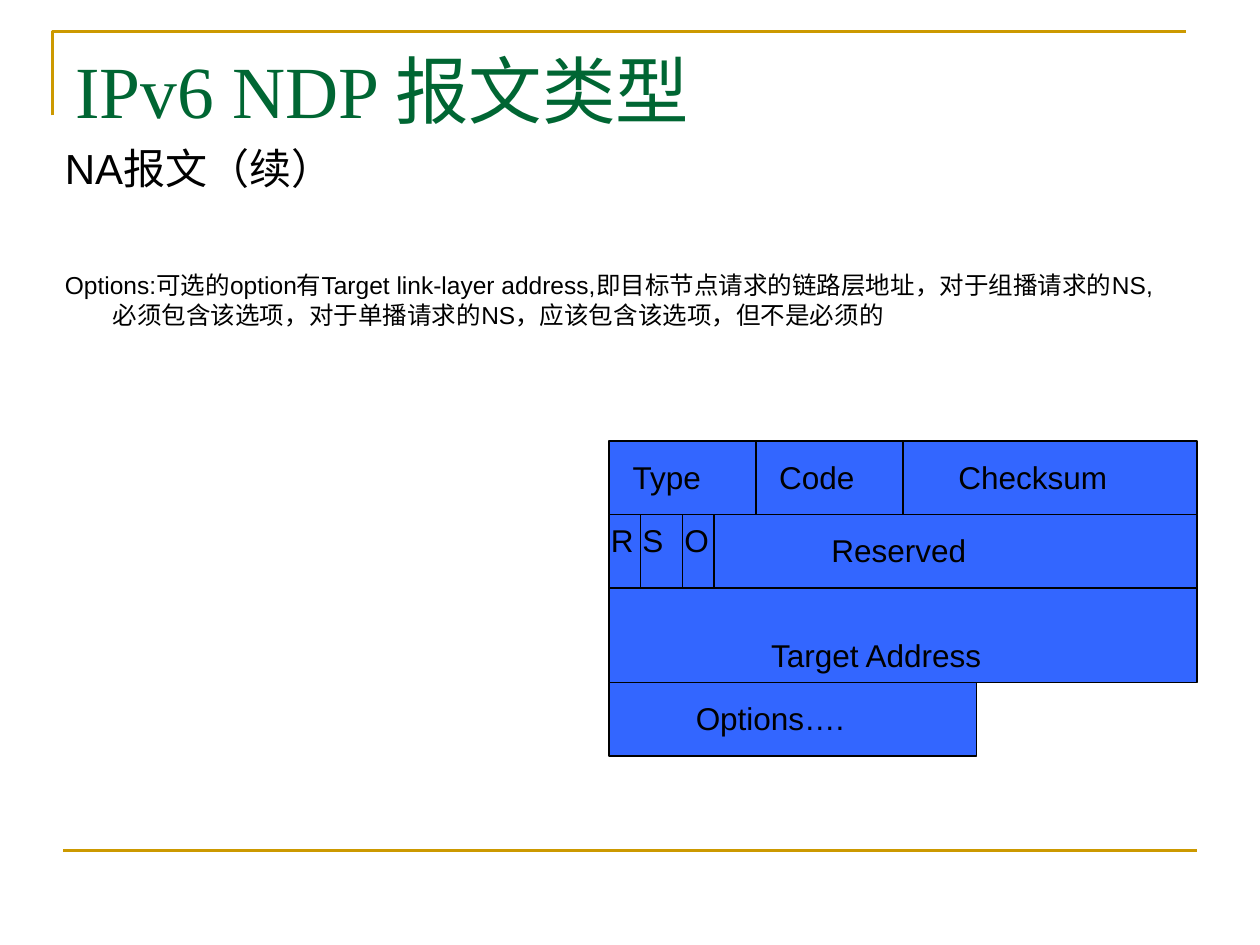
from lxml import etree
from pptx import Presentation
from pptx import util as u
from pptx.dml.color import RGBColor
from pptx.enum import shapes, text
from pptx.oxml import ns

GOLD = RGBColor(0xCC, 0x99, 0x00)
GREEN = RGBColor(0x00, 0x66, 0x33)
BLUE = RGBColor(0x33, 0x66, 0xFF)
BLACK = RGBColor(0, 0, 0)

CELL = u.Inches(1) // 12
ROW_HEIGHT = 7
LABEL_HEIGHT = 4.8

HEADER_FIELDS = [
    (58, 42, 14, ROW_HEIGHT),
    (72, 42, 14, ROW_HEIGHT),
    (86, 42, 28, ROW_HEIGHT),
    (58, 49, 3, ROW_HEIGHT),
    (61, 49, 4, ROW_HEIGHT),
    (65, 49, 3, ROW_HEIGHT),
    (68, 49, 46, ROW_HEIGHT),
    (58, 56, 56, 9),
    (58, 65, 35, ROW_HEIGHT),
]

FIELD_LABELS = [
    ("Type", 59, 43, 9),
    ("Code", 73, 43, 9.6),
    ("Checksum", 90, 43, 16.7),
    ("R", 57, 49, 4.5),
    ("S", 60, 49, 4.3),
    ("O", 64, 49, 4.7),
    ("Reserved", 78, 50, 15.2),
    ("Target Address", 72, 60, 22.9),
    ("Options….", 65, 66, 16.7),
]

OPTIONS_TEXT = (
    "Options:可选的option有Target link-layer address,"
    "即目标节点请求的链路层地址，对于组播请求的NS,"
    "必须包含该选项，对于单播请求的NS，应该包含该选项，但不是必须的"
)


def grid(*cells):
    return [u.Emu(round(cell * CELL)) for cell in cells]


def apply_format(target, values):
    for name, value in values.items():
        setattr(target, name, value)


def set_line(shape, color, width):
    shape.line.color.rgb = color
    shape.line.width = u.Pt(width)


def add_box(slide, area, wrap=True):
    frame = slide.shapes.add_textbox(*grid(*area)).text_frame
    frame.word_wrap = wrap
    return frame


def write(para, wording, size, font="Arial", color=BLACK):
    span = para.add_run()
    span.text = wording
    apply_format(span.font, {"name": font, "size": u.Pt(size)})
    span.font.color.rgb = color


def add_corner(slide):
    start, *others = [grid(*point) for point in [(5, 11), (5, 3), (113, 3)]]
    builder = slide.shapes.build_freeform(*start)
    builder.add_line_segments(others, close=False)
    corner = builder.convert_to_shape()
    corner.shadow.inherit = False
    corner.fill.background()
    set_line(corner, GOLD, 1.5)


def add_rule(slide, left, right, row):
    rule = slide.shapes.add_connector(
        shapes.MSO_CONNECTOR.STRAIGHT, *grid(left, row, right, row))
    etree.SubElement(rule._element.spPr, ns.qn("a:effectLst"))
    set_line(rule, GOLD, 1.5)


def add_body(slide):
    frame = add_box(slide, (5, 13, 108, 59.4))
    write(frame.paragraphs[0], "NA报文（续）", 24)
    details = frame.add_paragraph()
    details.space_before = u.Pt(44)
    write(details, OPTIONS_TEXT, 14)
    for para in frame.paragraphs:
        props = para._p.get_or_add_pPr()
        props.set("marL", str(u.Inches(0.38)))
        props.set("indent", str(-u.Inches(0.38)))


def add_field(slide, area):
    field = slide.shapes.add_shape(shapes.MSO_SHAPE.RECTANGLE, *grid(*area))
    field.shadow.inherit = False
    field.fill.solid()
    field.fill.fore_color.rgb = BLUE
    set_line(field, BLACK, 0.75)


def add_label(slide, wording, column, row, width):
    frame = add_box(slide, (column, row, width, LABEL_HEIGHT), wrap=False)
    frame.auto_size = text.MSO_AUTO_SIZE.SHAPE_TO_FIT_TEXT
    para = frame.paragraphs[0]
    para.alignment = text.PP_ALIGN.CENTER
    write(para, wording, 18)


def main():
    deck = Presentation()
    apply_format(deck, {"slide_width": u.Inches(10), "slide_height": u.Inches(7.5)})
    page = deck.slides.add_slide(deck.slide_layouts[6])
    add_corner(page)
    add_rule(page, 6, 114, 81)
    title = add_box(page, (6, 3.7, 108, 15))
    write(title.paragraphs[0], "IPv6 NDP 报文类型", 42, "Times New Roman", GREEN)
    add_body(page)
    for area in HEADER_FIELDS:
        add_field(page, area)
    for label in FIELD_LABELS:
        add_label(page, *label)
    deck.save("out.pptx")


if __name__ == "__main__":
    main()
